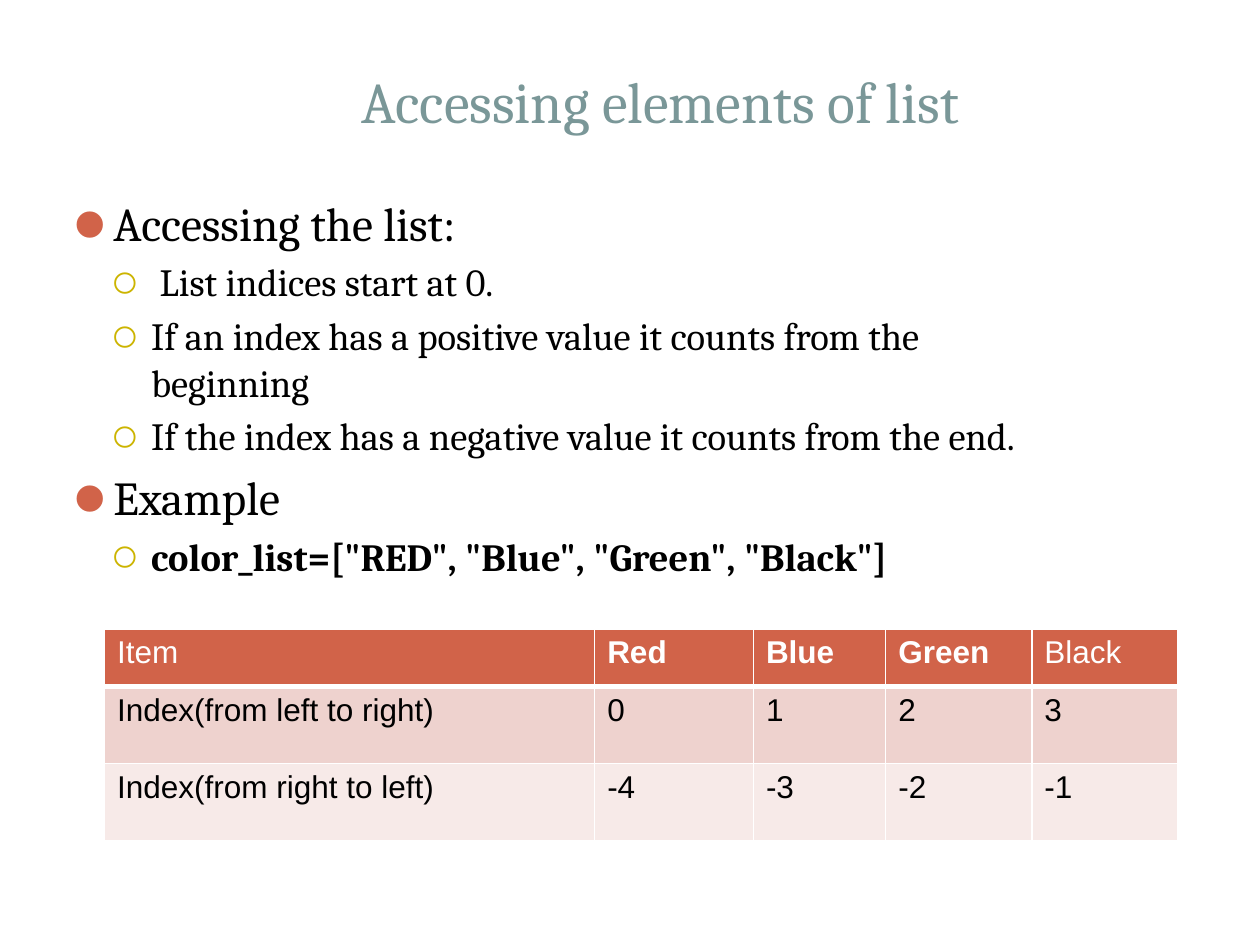
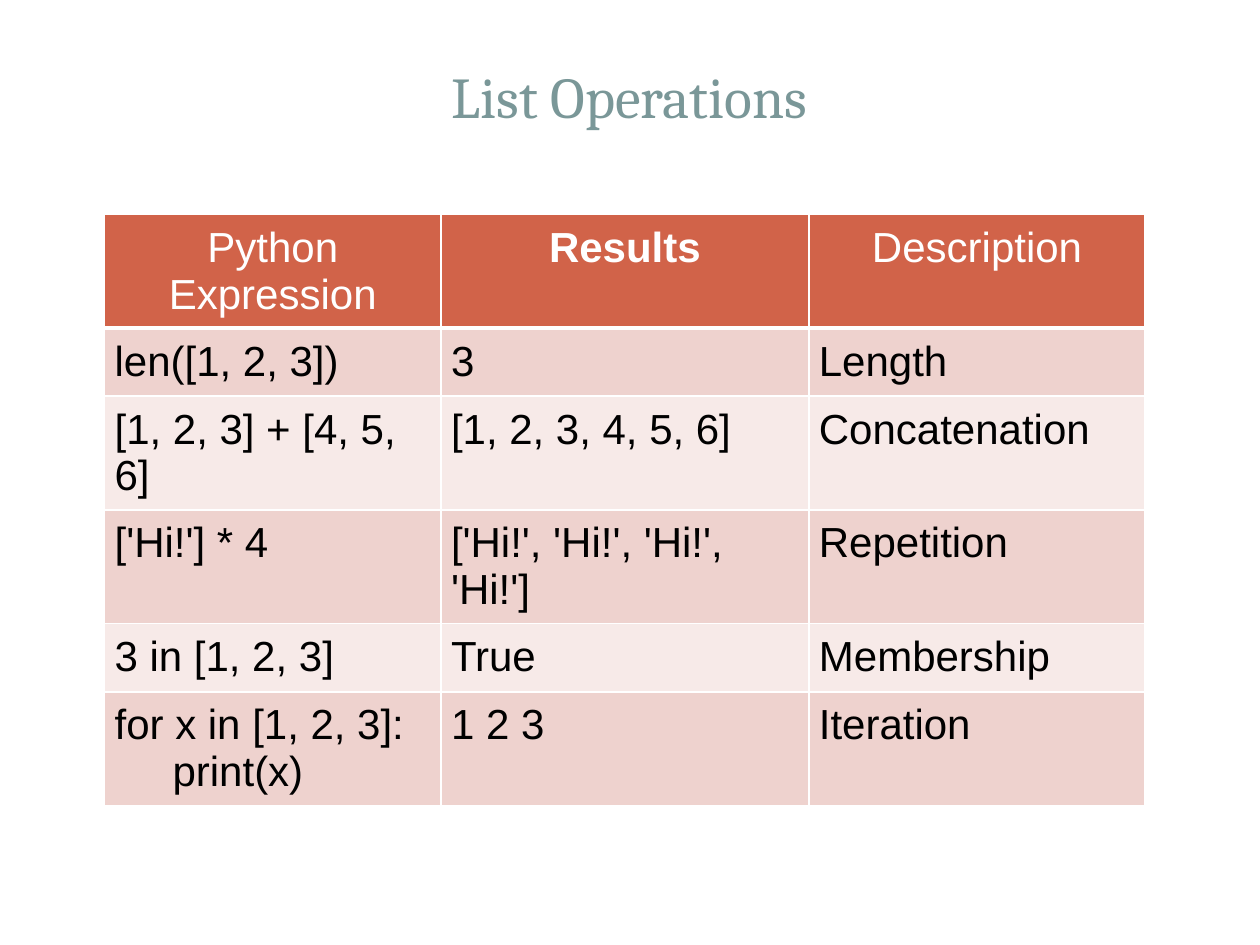
import dataclasses
import typing

import lxml.etree
import pptx
import pptx.dml.color
import pptx.enum.text
import pptx.oxml.ns
import pptx.util

Inches = pptx.util.Inches
Pt = pptx.util.Pt
RGB = pptx.dml.color.RGBColor.from_string
CENTER = pptx.enum.text.PP_ALIGN.CENTER
qn = pptx.oxml.ns.qn


@dataclasses.dataclass(frozen=True)
class Theme:
    title_color: str = "7A9798"
    text_color: str = "000000"
    accent: str = "D16349"
    light: str = "FFFFFF"
    bands: tuple[str, str] = ("EED2CE", "F7EAE8")
    bullets: tuple[tuple[str, str], ...] = (("⚫", "D16349"), ("⚪", "CCB400"))
    list_sizes: tuple[int, int] = (27, 22)
    list_indent: float = 0.3
    title_size: int = 33
    text_font: str = "Cambria"
    table_font: str = "Arial"
    code_indent: float = 0.46


THEME = Theme()


class Box(typing.NamedTuple):
    left: float
    top: float
    width: float
    height: float


class ListItem(typing.NamedTuple):
    text: str
    level: int = 0
    bold: bool = False


@dataclasses.dataclass(frozen=True)
class TableSpec:
    left: float
    top: float
    columns: tuple[float, ...]
    heights: tuple[float, ...]
    rows: tuple[tuple[str, ...], ...]
    bold_headers: tuple[str, ...]
    size: int
    insets: tuple[float, float]
    center_headers: bool = False


# Text and placeholders

def format_runs(p, font: str, size: int, color: str, bold: bool = False) -> None:
    for r in p.runs:
        r.font.name = font
        r.font.size = Pt(size)
        r.font.bold = bold
        r.font.color.rgb = RGB(color)


def place(sp, box: Box) -> None:
    sp.left, sp.top, sp.width, sp.height = (Inches(v) for v in box)
    sp.text_frame.auto_size = pptx.enum.text.MSO_AUTO_SIZE.NONE
    sp.text_frame.word_wrap = True


def set_title(slide, text: str, box: Box) -> None:
    sp = slide.shapes.title
    place(sp, box)
    tf = sp.text_frame
    tf.text = text
    tf.vertical_anchor = pptx.enum.text.MSO_ANCHOR.BOTTOM
    p = tf.paragraphs[0]
    p.alignment = CENTER
    format_runs(p, THEME.text_font, THEME.title_size, THEME.title_color)


def set_bullet(p, level: int) -> None:
    char, color = THEME.bullets[level]
    pPr = p._p.get_or_add_pPr()
    pPr.set("marL", str(Inches(THEME.list_indent * (level + 1))))
    pPr.set("indent", str(-Inches(THEME.list_indent)))
    buClr = lxml.etree.SubElement(pPr, qn("a:buClr"))
    lxml.etree.SubElement(buClr, qn("a:srgbClr"), val=color)
    lxml.etree.SubElement(pPr, qn("a:buChar"), char=char)


def set_list(slide, items: list[ListItem], box: Box) -> None:
    sp = slide.placeholders[1]
    place(sp, box)
    tf = sp.text_frame
    for i, item in enumerate(items):
        p = tf.add_paragraph() if i else tf.paragraphs[0]
        size = THEME.list_sizes[item.level]
        p.text = item.text
        p.level = item.level
        p.space_before = Pt(0.2 * size if i else 0)
        set_bullet(p, item.level)
        format_runs(p, THEME.text_font, size, THEME.text_color, item.bold)


# Tables

def set_borders(cell, row: int) -> None:
    """White grid with a thicker rule under the header row."""
    widths = {"L": 1, "R": 1, "T": 3 if row == 1 else 1, "B": 3 if row == 0 else 1}
    tcPr = cell._tc.get_or_add_tcPr()
    for i, (side, width) in enumerate(widths.items()):
        ln = lxml.etree.Element(qn(f"a:ln{side}"), w=str(Pt(width)))
        fill = lxml.etree.SubElement(ln, qn("a:solidFill"))
        lxml.etree.SubElement(fill, qn("a:srgbClr"), val=THEME.light)
        tcPr.insert(i, ln)


def format_cell(cell, text: str, row: int, spec: TableSpec) -> None:
    header = row == 0
    cell.text = text
    cell.margin_left = cell.margin_right = Inches(spec.insets[0])
    cell.margin_top = cell.margin_bottom = Inches(spec.insets[1])
    cell.fill.solid()
    cell.fill.fore_color.rgb = RGB(THEME.accent if header else THEME.bands[(row - 1) % 2])
    set_borders(cell, row)
    for i, p in enumerate(cell.text_frame.paragraphs):
        if header and spec.center_headers:
            p.alignment = CENTER
        if i:  # the body of a code block is indented
            p._p.get_or_add_pPr().set("marL", str(Inches(THEME.code_indent)))
        format_runs(p, THEME.table_font, spec.size,
                    THEME.light if header else THEME.text_color,
                    header and text in spec.bold_headers)


def add_table(slide, spec: TableSpec) -> None:
    table = slide.shapes.add_table(
        len(spec.rows), len(spec.columns), Inches(spec.left), Inches(spec.top),
        Inches(sum(spec.columns)), Inches(sum(spec.heights))).table
    table.horz_banding = False
    for column, width in zip(table.columns, spec.columns):
        column.width = Inches(width)
    for i, (height, texts) in enumerate(zip(spec.heights, spec.rows)):
        table.rows[i].height = Inches(height)
        for j, text in enumerate(texts):
            format_cell(table.cell(i, j), text, i, spec)


# Content

ACCESS_ITEMS = [
    ListItem("Accessing the list:"),
    ListItem(" List indices start at 0.", 1),
    ListItem("If an index has a positive value it counts from the beginning", 1),
    ListItem("If the index has a negative value it counts from the end.", 1),
    ListItem("Example"),
    ListItem('color_list=["RED", "Blue", "Green", "Black"]', 1, True),
]

INDEX_TABLE = TableSpec(
    left=0.83, top=4.99,
    columns=(3.89, 1.26, 1.05, 1.16, 1.16),
    heights=(0.46, 0.61, 0.61),
    rows=(
        ("Item", "Red", "Blue", "Green", "Black"),
        ("Index(from left to right)", "0", "1", "2", "3"),
        ("Index(from right to left)", "-4", "-3", "-2", "-1"),
    ),
    bold_headers=("Red", "Blue", "Green"),
    size=18, insets=(0.1, 0.05),
)

OPERATIONS_TABLE = TableSpec(
    left=0.83, top=1.7,
    columns=(2.67, 2.92, 2.67),
    heights=(0.8, 0.54, 0.54, 0.54, 0.54, 0.8),
    rows=(
        ("Python Expression", "Results", "Description"),
        ("len([1, 2, 3])", "3", "Length"),
        ("[1, 2, 3] + [4, 5, 6]", "[1, 2, 3, 4, 5, 6]", "Concatenation"),
        ("['Hi!'] * 4", "['Hi!', 'Hi!', 'Hi!', 'Hi!']", "Repetition"),
        ("3 in [1, 2, 3]", "True", "Membership"),
        ("for x in [1, 2, 3]:\nprint(x)", "1 2 3", "Iteration"),
    ),
    bold_headers=("Results",),
    size=24, insets=(0.08, 0.08), center_headers=True,
)


def main() -> None:
    prs = pptx.Presentation()
    prs.slide_width, prs.slide_height = Inches(10), Inches(7.5)

    # Accessing elements
    slide = prs.slides.add_slide(prs.slide_layouts.get_by_name("Title and Content"))
    set_title(slide, "Accessing elements of list", Box(1.14, 0.29, 8.2, 0.83))
    set_list(slide, ACCESS_ITEMS, Box(0.5, 1.49, 8.08, 3.5))
    add_table(slide, INDEX_TABLE)

    # Operations
    slide = prs.slides.add_slide(prs.slide_layouts.get_by_name("Title Only"))
    set_title(slide, "List Operations", Box(0.33, 0.25, 9.33, 0.83))
    add_table(slide, OPERATIONS_TABLE)

    prs.save("out.pptx")


if __name__ == "__main__":
    main()
